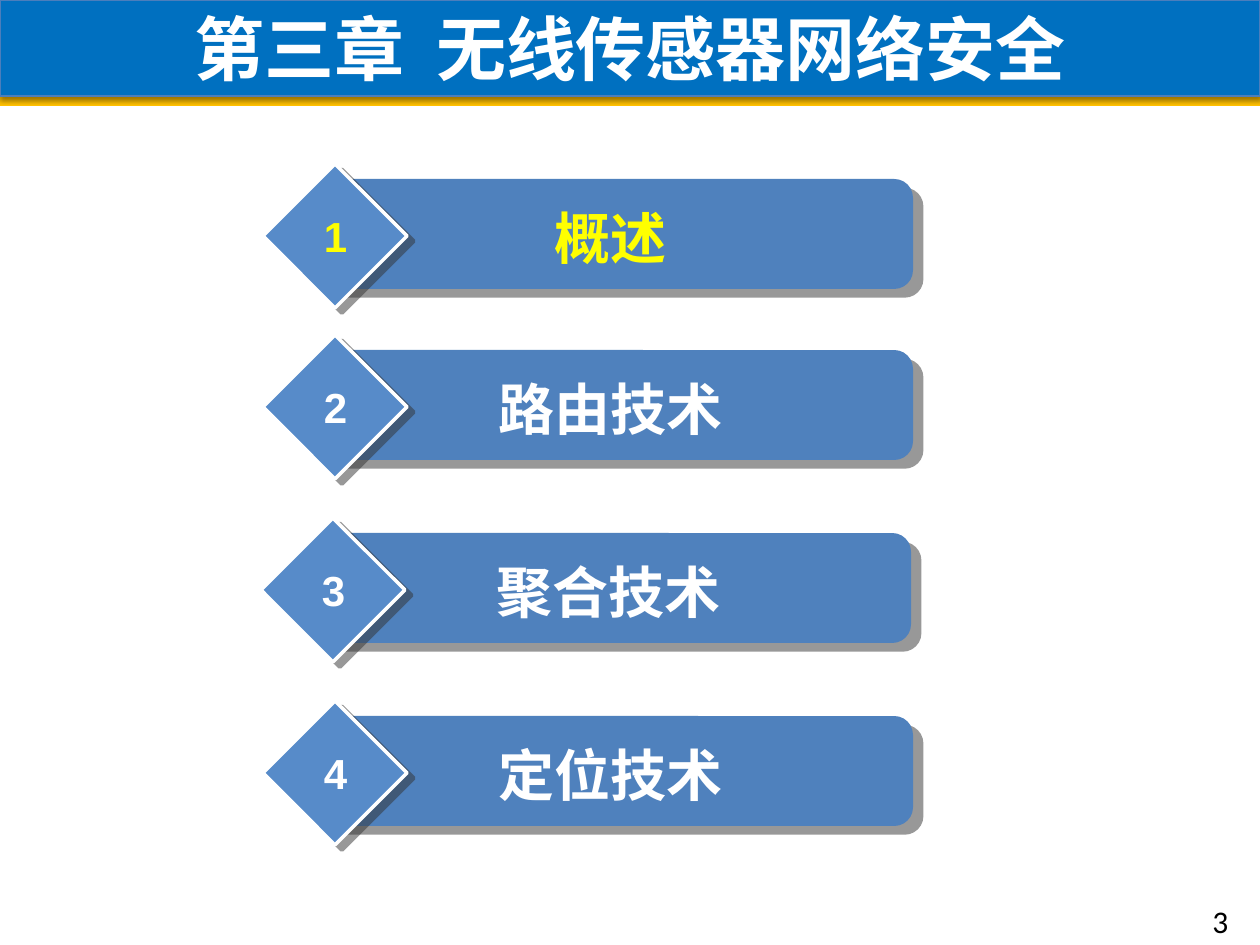
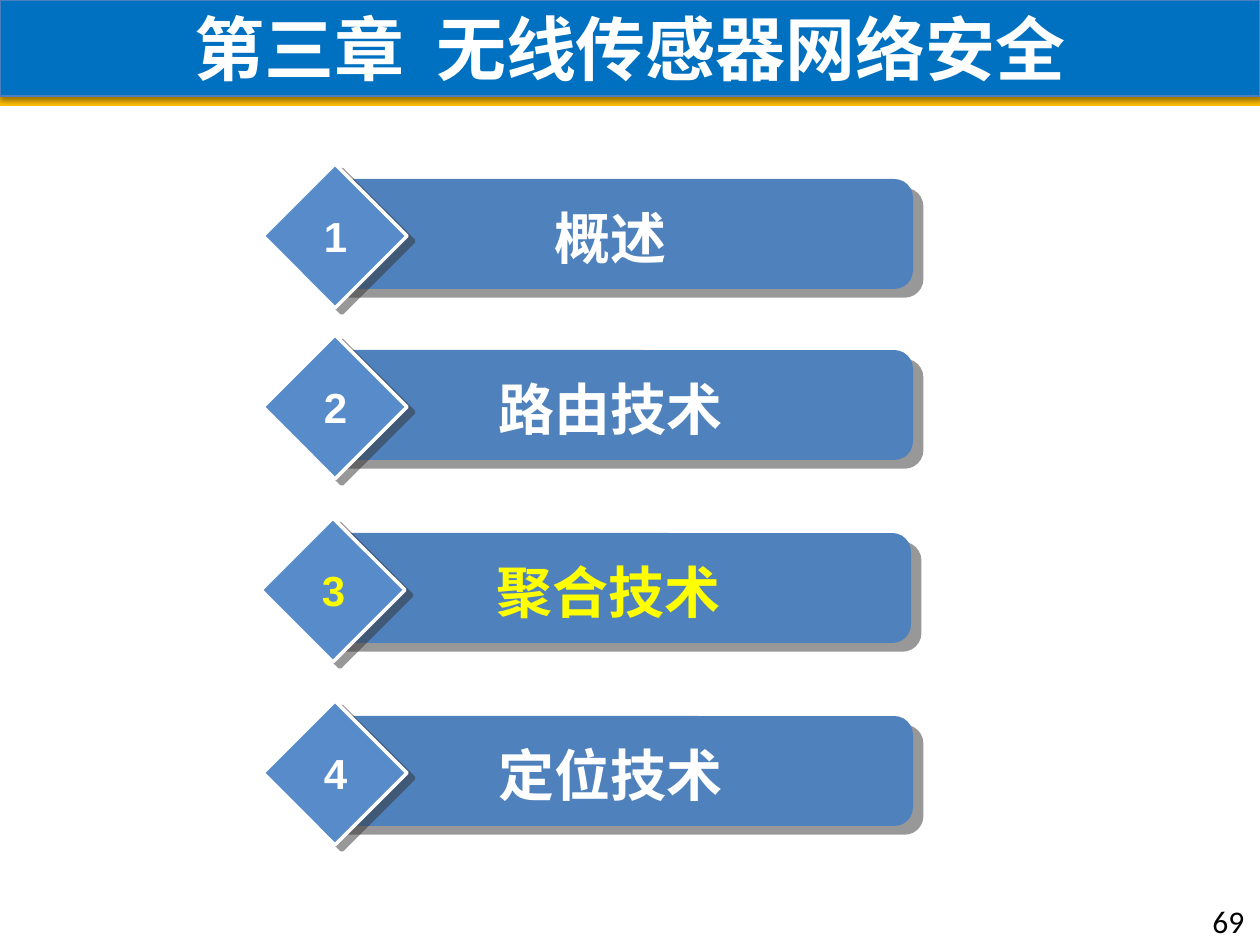
from dataclasses import dataclass

from lxml.etree import SubElement
from pptx import Presentation
from pptx.dml.color import RGBColor
from pptx.enum.shapes import MSO_SHAPE as Shp
from pptx.enum.text import MSO_ANCHOR as Anchor, MSO_AUTO_SIZE as Fit, PP_ALIGN as Align
from pptx.oxml.ns import qn
from pptx.util import Emu, Pt

PX = 914400 / 126  # EMU in one px

COLORS = {
    "title": "0070C0", "title_line": "4B7EBC", "band": "FFC000",
    "bar": "4F81BD", "diamond": "578BC9",
    "text": "FFFFFF", "current": "FFFF00", "page": "000000",
    "shadow": "333333", "title_shadow": "000000",
}
CJK = "Noto Sans CJK SC"
TITLE = "第三章  无线传感器网络安全"


@dataclass(frozen=True)
class Section:
    name: str
    left: int
    top: int


@dataclass(frozen=True)
class Shadow:
    color: str
    alpha: int  # percent
    blur: float  # points
    dist: float  # points
    angle: int  # degrees


SECTIONS = [
    Section("概述", 263, 164),
    Section("路由技术", 263, 335),
    Section("聚合技术", 261, 518),
    Section("定位技术", 263, 701),
]
TITLE_SHADOW = Shadow("title_shadow", 38, 3.1, 1.6, 90)
BAR_SHADOW = Shadow("shadow", 50, 0, 7.8, 40)
DIAMOND_SHADOW = Shadow("shadow", 50, 0, 5, 37)


def px(*lengths: int) -> list[Emu]:
    return [Emu(round(n * PX)) for n in lengths]


def rgb(name: str) -> RGBColor:
    return RGBColor.from_string(COLORS[name])


def paint(s, fill: str, line: str | None = None, width: float = 0,
          shadow: Shadow | None = None) -> None:
    """Set the fill, outline and shadow of a shape."""
    s.fill.solid()
    s.fill.fore_color.rgb = rgb(fill)
    if line:
        s.line.color.rgb = rgb(line)
        s.line.width = Pt(width)
    else:
        s.line.fill.background()
    s.shadow.inherit = False
    if shadow:
        effects = s.element.spPr.find(qn("a:effectLst"))
        outer = SubElement(effects, qn("a:outerShdw"), blurRad=str(Pt(shadow.blur)),
                           dist=str(Pt(shadow.dist)), dir=str(shadow.angle * 60000),
                           algn="ctr", rotWithShape="0")
        color = SubElement(outer, qn("a:srgbClr"), val=COLORS[shadow.color])
        SubElement(color, qn("a:alpha"), val=str(shadow.alpha * 1000))


def write(tf, text: str, size: int, font: str, color: str,
          bold: bool = True, align: Align = Align.CENTER) -> None:
    tf.text = text
    p = tf.paragraphs[0]
    p.alignment = align
    p.font.size = Pt(size)
    p.font.bold = bold
    p.font.name = font
    p.font.color.rgb = rgb(color)
    SubElement(p._p.pPr.find(qn("a:defRPr")), qn("a:ea"), typeface=CJK)


def add_layout_band(slide, layout) -> None:
    """Draw the band under the title and hand it to the layout."""
    band = slide.shapes.add_shape(Shp.RECTANGLE, *px(0, 96, 1260, 10))
    paint(band, "band")
    band.element.nvSpPr.cNvPr.set("id", "20")
    layout.shapes.element.append(band.element)


def add_title(slide) -> None:
    s = slide.shapes.title
    s.left, s.top, s.width, s.height = px(0, 0, 1260, 96)
    paint(s, "title", "title_line", 0.75, TITLE_SHADOW)
    tf = s.text_frame
    tf.vertical_anchor = Anchor.MIDDLE
    tf.auto_size = Fit.NONE
    write(tf, TITLE, 40, CJK, "text")


def add_section(slide, number: int, section: Section, current: bool) -> None:
    shapes = slide.shapes.add_group_shape().shapes
    x, y = section.left, section.top
    color = "current" if current else "text"

    bar = shapes.add_shape(Shp.ROUNDED_RECTANGLE, *px(x + 52, y + 15, 598, 110))
    bar.adjustments[0] = 0.17
    paint(bar, "bar", shadow=BAR_SHADOW)

    diamond = shapes.add_shape(Shp.DIAMOND, *px(x, y, 144, 144))
    paint(diamond, "diamond", "text", 2, DIAMOND_SHADOW)

    label = shapes.add_textbox(*px(x + 112, y + 33, 472, 81)).text_frame
    label.word_wrap = True
    label.auto_size = Fit.SHAPE_TO_FIT_TEXT
    write(label, section.name, 32, "Arial", color)

    digit = shapes.add_textbox(*px(x + 48, y + 40, 49, 63)).text_frame
    digit.word_wrap = False
    digit.auto_size = Fit.SHAPE_TO_FIT_TEXT
    write(digit, str(number), 24, "Arial", color)


def add_page_number(slide, page: int) -> None:
    tf = slide.shapes.add_textbox(*px(1200, 896, 59, 50)).text_frame
    tf.word_wrap = True
    write(tf, str(page), 18, "Calibri", "page", bold=False, align=Align.LEFT)


def add_agenda(prs, layout, current: int, page: int):
    slide = prs.slides.add_slide(layout)
    add_title(slide)
    for number, section in enumerate(SECTIONS, 1):
        add_section(slide, number, section, number == current)
    add_page_number(slide, page)
    return slide


def main() -> None:
    prs = Presentation()
    prs.slide_width, prs.slide_height = px(1260, 945)
    layout = prs.slide_layouts.get_by_name("Title Only")
    first = add_agenda(prs, layout, current=1, page=3)
    add_agenda(prs, layout, current=3, page=69)
    add_layout_band(first, layout)
    prs.save("out.pptx")


if __name__ == "__main__":
    main()
